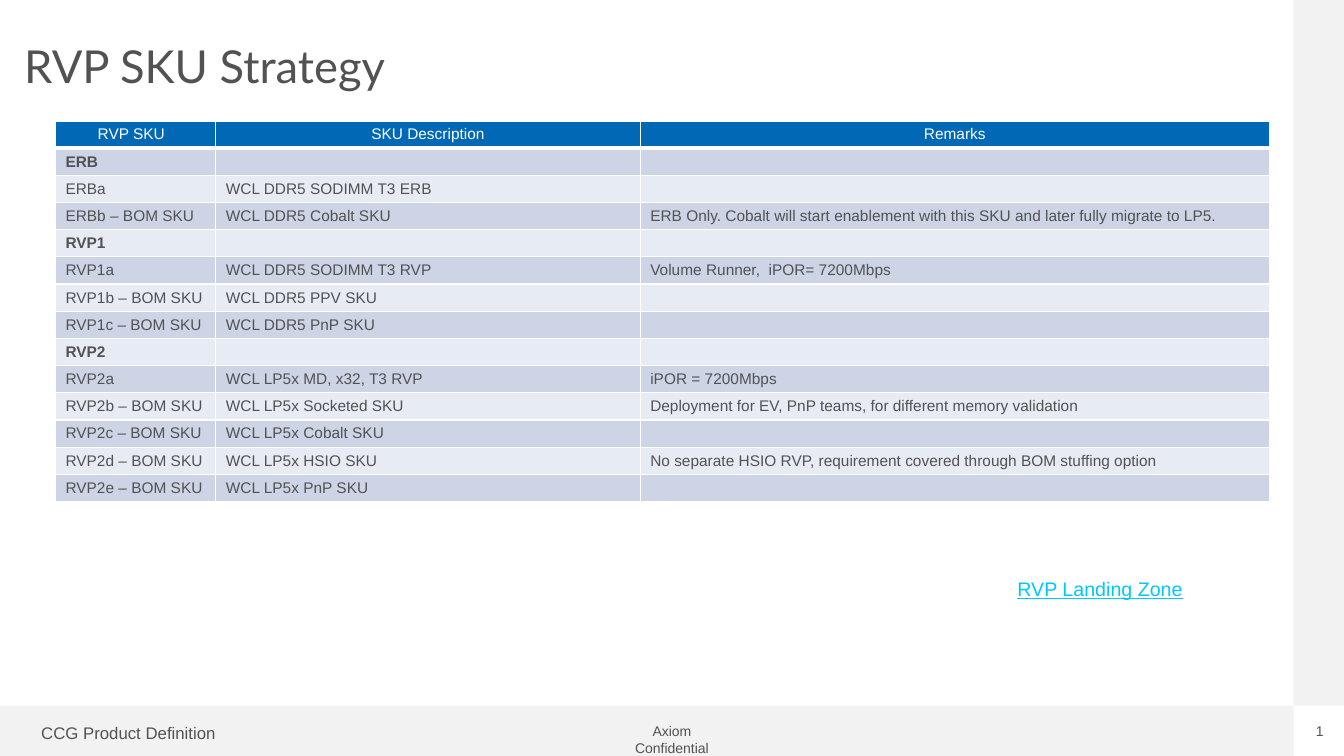
from lxml import etree
from pptx import Presentation
from pptx.dml.color import RGBColor
from pptx.enum.shapes import MSO_SHAPE
from pptx.enum.text import MSO_ANCHOR, MSO_AUTO_SIZE, PP_ALIGN
from pptx.oxml.ns import qn
from pptx.util import Inches, Pt

RECTANGLE = MSO_SHAPE.RECTANGLE
MIDDLE = MSO_ANCHOR.MIDDLE
NO_AUTOFIT = MSO_AUTO_SIZE.NONE
GROW = MSO_AUTO_SIZE.SHAPE_TO_FIT_TEXT
LEFT, CENTER = PP_ALIGN.LEFT, PP_ALIGN.CENTER

COLORS = {
    "text": "525252",
    "white": "FFFFFF",
    "band": "F2F2F2",
    "header": "0068B5",
    "row_dark": "CCD4E5",
    "row_light": "E7EBF3",
    "link": "00C7FD",
}

COLUMN_WIDTHS = (1.59, 4.21, 6.24)
ROW_HEIGHT = 0.27
SKU_ROWS = [
    ("RVP SKU  ", "SKU Description", "Remarks"),
    ("ERB", "", ""),
    ("ERBa", "WCL DDR5 SODIMM T3 ERB", ""),
    ("ERBb – BOM SKU", "WCL DDR5 Cobalt SKU",
     "ERB Only. Cobalt will start enablement with this SKU and later fully migrate to LP5."),
    ("RVP1", "", ""),
    ("RVP1a", "WCL DDR5 SODIMM T3 RVP", "Volume Runner,  iPOR= 7200Mbps"),
    ("RVP1b – BOM SKU", "WCL DDR5 PPV SKU", ""),
    ("RVP1c – BOM SKU", "WCL DDR5 PnP SKU", ""),
    ("RVP2", "", ""),
    ("RVP2a", "WCL LP5x MD, x32, T3 RVP", "iPOR = 7200Mbps"),
    ("RVP2b – BOM SKU", "WCL LP5x Socketed SKU",
     "Deployment for EV, PnP teams, for different memory validation"),
    ("RVP2c – BOM SKU", "WCL LP5x Cobalt SKU", ""),
    ("RVP2d – BOM SKU", "WCL LP5x HSIO SKU",
     "No separate HSIO RVP, requirement covered through BOM stuffing option"),
    ("RVP2e – BOM SKU", "WCL LP5x PnP SKU", ""),
]


def color(name):
    return RGBColor.from_string(COLORS[name])


def add_run(paragraph, text, size, color_name="text", font="Arial", bold=False, underline=False):
    run = paragraph.add_run()
    run.text = text
    run.font.name = font
    run.font.size = Pt(size)
    run.font.color.rgb = color(color_name)
    run.font.bold = bold
    run.font.underline = underline


def set_margins(frame, horizontal, vertical):
    frame.margin_left = frame.margin_right = Inches(horizontal)
    frame.margin_top = frame.margin_bottom = Inches(vertical)


def add_band(slide, left, top, width, height):
    band = slide.shapes.add_shape(
        RECTANGLE, Inches(left), Inches(top), Inches(width), Inches(height))
    band.shadow.inherit = False
    band.fill.solid()
    band.fill.fore_color.rgb = color("band")
    band.line.fill.background()


def add_label(slide, text, left, top, width, height, size, align=LEFT,
              margins=(0.1, 0.05), color_name="text", underline=False):
    box = slide.shapes.add_textbox(Inches(left), Inches(top), Inches(width), Inches(height))
    frame = box.text_frame
    frame.word_wrap = False
    frame.auto_size = GROW
    set_margins(frame, *margins)
    paragraph = frame.paragraphs[0]
    paragraph.alignment = align
    add_run(paragraph, text, size, color_name, underline=underline)


def set_title(slide, text):
    title = slide.shapes.title
    title.left, title.top = Inches(0.24), Inches(0.44)
    title.width, title.height = Inches(12.85), Inches(0.48)
    frame = title.text_frame
    frame.auto_size = NO_AUTOFIT
    frame.vertical_anchor = MIDDLE
    set_margins(frame, 0, 0)
    paragraph = frame.paragraphs[0]
    paragraph.alignment = LEFT
    paragraph.line_spacing = 0.9
    add_run(paragraph, text, 32.4, font="Lato")


def set_borders(cell, widths):
    """Draw white cell borders; widths maps a side tag to points."""
    properties = cell._tc.get_or_add_tcPr()
    for index, (side, width) in enumerate(widths.items()):
        line = etree.Element(qn(f"a:{side}"), w=str(Pt(width)))
        fill = etree.SubElement(line, qn("a:solidFill"))
        etree.SubElement(fill, qn("a:srgbClr"), val=COLORS["white"])
        properties.insert(index, line)


def fill_cell(cell, text, row, is_group):
    is_header = row == 0
    if is_header:
        fill_name = "header"
    else:
        fill_name = "row_dark" if row % 2 else "row_light"
    cell.fill.solid()
    cell.fill.fore_color.rgb = color(fill_name)
    cell.vertical_anchor = MIDDLE
    set_margins(cell, 0.1, 0.03)
    set_borders(cell, {"lnL": 1, "lnR": 1,
                       "lnT": 3 if row == 1 else 1,
                       "lnB": 3 if is_header else 1})
    paragraph = cell.text_frame.paragraphs[0]
    paragraph.alignment = CENTER if is_header else LEFT
    if text:
        add_run(paragraph, text, 11, "white" if is_header else "text", bold=is_group)
    else:
        # Keeps empty cells from stretching the row
        etree.SubElement(paragraph._p, qn("a:endParaRPr"), sz="1100")


def add_sku_table(slide):
    frame = slide.shapes.add_table(
        len(SKU_ROWS), len(COLUMN_WIDTHS), Inches(0.55), Inches(1.2),
        Inches(sum(COLUMN_WIDTHS)), Inches(ROW_HEIGHT * len(SKU_ROWS)))
    table = frame.table
    for column, width in zip(table.columns, COLUMN_WIDTHS):
        column.width = Inches(width)
    for row, texts in enumerate(SKU_ROWS):
        table.rows[row].height = Inches(ROW_HEIGHT)
        is_group = not any(texts[1:])
        for column, text in enumerate(texts):
            fill_cell(table.cell(row, column), text, row, is_group)


def main():
    presentation = Presentation()
    presentation.slide_width = Inches(13.33)
    presentation.slide_height = Inches(7.5)
    slide = presentation.slides.add_slide(presentation.slide_layouts[5])

    # Footer and side band
    add_band(slide, 0, 7, 12.83, 0.5)
    add_band(slide, 12.83, 0, 0.5, 7)
    add_label(slide, "Axiom Confidential", 6, 7.12, 1.33, 0.27, 10, CENTER)
    add_label(slide, "CCG Product Definition", 0.31, 7.12, 2.09, 0.3, 12)
    add_label(slide, "1", 13, 7.17, 0.18, 0.17, 10, CENTER, margins=(0, 0))

    # Title, table and landing zone label
    set_title(slide, "RVP SKU Strategy")
    add_sku_table(slide)
    add_label(slide, "RVP Landing Zone", 10.09, 5.72, 1.72, 0.24, 14,
              margins=(0, 0), color_name="link", underline=True)

    presentation.save("out.pptx")


if __name__ == "__main__":
    main()
